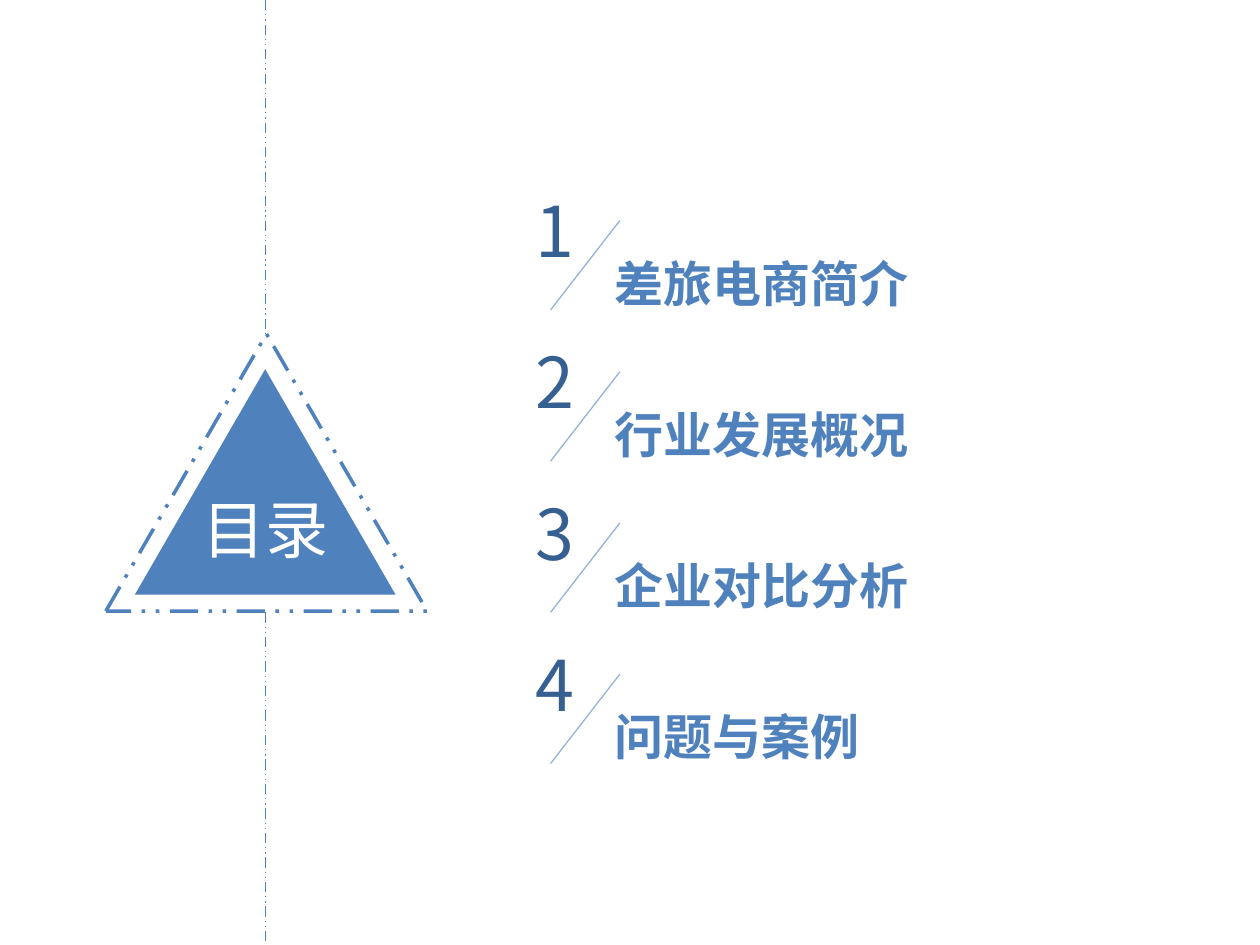
from pptx import Presentation
from pptx.dml.color import RGBColor
from pptx.enum.dml import MSO_LINE
from pptx.enum.shapes import MSO_CONNECTOR, MSO_SHAPE
from pptx.enum.text import MSO_ANCHOR, MSO_AUTO_SIZE, PP_ALIGN
from pptx.oxml.ns import qn
from pptx.util import Pt
from lxml import etree

PX = 9144
TRIANGLE = MSO_SHAPE.ISOSCELES_TRIANGLE
STRAIGHT = MSO_CONNECTOR.STRAIGHT
DASH = MSO_LINE.DASH_DOT_DOT
MIDDLE = MSO_ANCHOR.MIDDLE
CENTER = PP_ALIGN.CENTER
GROW = MSO_AUTO_SIZE.SHAPE_TO_FIT_TEXT
COLORS = {
    "blue": "4F81BD",
    "dark": "376092",
    "light": "95B3D7",
    "white": "FFFFFF",
}


def add_line(x1, y1, x2, y2, color):
    line = s.shapes.add_connector(STRAIGHT, x1 * PX, y1 * PX, x2 * PX, y2 * PX)
    line.line.color.rgb = RGBColor.from_string(COLORS[color])
    line.line.width = Pt(0.75)
    etree.SubElement(line._element.spPr, qn("a:effectLst"))
    return line


def add_run(p, text, size, font, color, bold=False):
    r = p.add_run()
    r.text = text
    r.font.size = Pt(size)
    r.font.name = font
    r.font.bold = bold
    r.font.color.rgb = RGBColor.from_string(COLORS[color])


prs = Presentation()
prs.slide_width = 1000 * PX
prs.slide_height = 750 * PX
s = prs.slides.add_slide(prs.slide_layouts[6])

sp = s.shapes.add_shape(TRIANGLE, 107 * PX, 293 * PX, 207 * PX, 179 * PX)
sp.shadow.inherit = False
sp.fill.solid()
sp.fill.fore_color.rgb = RGBColor.from_string(COLORS["blue"])
sp.line.fill.background()
tf = sp.text_frame
tf.word_wrap = True
tf.vertical_anchor = MIDDLE
tf.margin_left = tf.margin_right = tf.margin_top = 0
tf.margin_bottom = 16 * PX
p = tf.paragraphs[0]
p.alignment = CENTER
add_run(p, "目录", 36, "Calibri", "white")

sp = s.shapes.add_shape(TRIANGLE, 84 * PX, 265 * PX, 255 * PX, 220 * PX)
sp.shadow.inherit = False
sp.fill.background()
sp.line.color.rgb = RGBColor.from_string(COLORS["blue"])
sp.line.width = Pt(2)
sp.line.dash_style = DASH

for top, bottom in ((0, 265), (486, 750)):
    add_line(211, top, 211, bottom, "blue").line.dash_style = DASH

topics = ["差旅电商简介", "行业发展概况", "企业对比分析", "问题与案例"]
for i, topic in enumerate(topics):
    y = 144 + 120 * i
    add_line(492, y + 31, 437, y + 102, "light")
    for left, top, width, height, text, size, font, color, bold in (
        (478, y + 52, 499, 57, topic, 28, "Arial", "blue", True),
        (415, y, 42, 77, str(i + 1), 40, "Noto Sans CJK SC", "dark", False),
    ):
        sp = s.shapes.add_textbox(left * PX, top * PX, width * PX, height * PX)
        tf = sp.text_frame
        tf.word_wrap = True
        tf.auto_size = GROW
        add_run(tf.paragraphs[0], text, size, font, color, bold)

prs.save("out.pptx")
